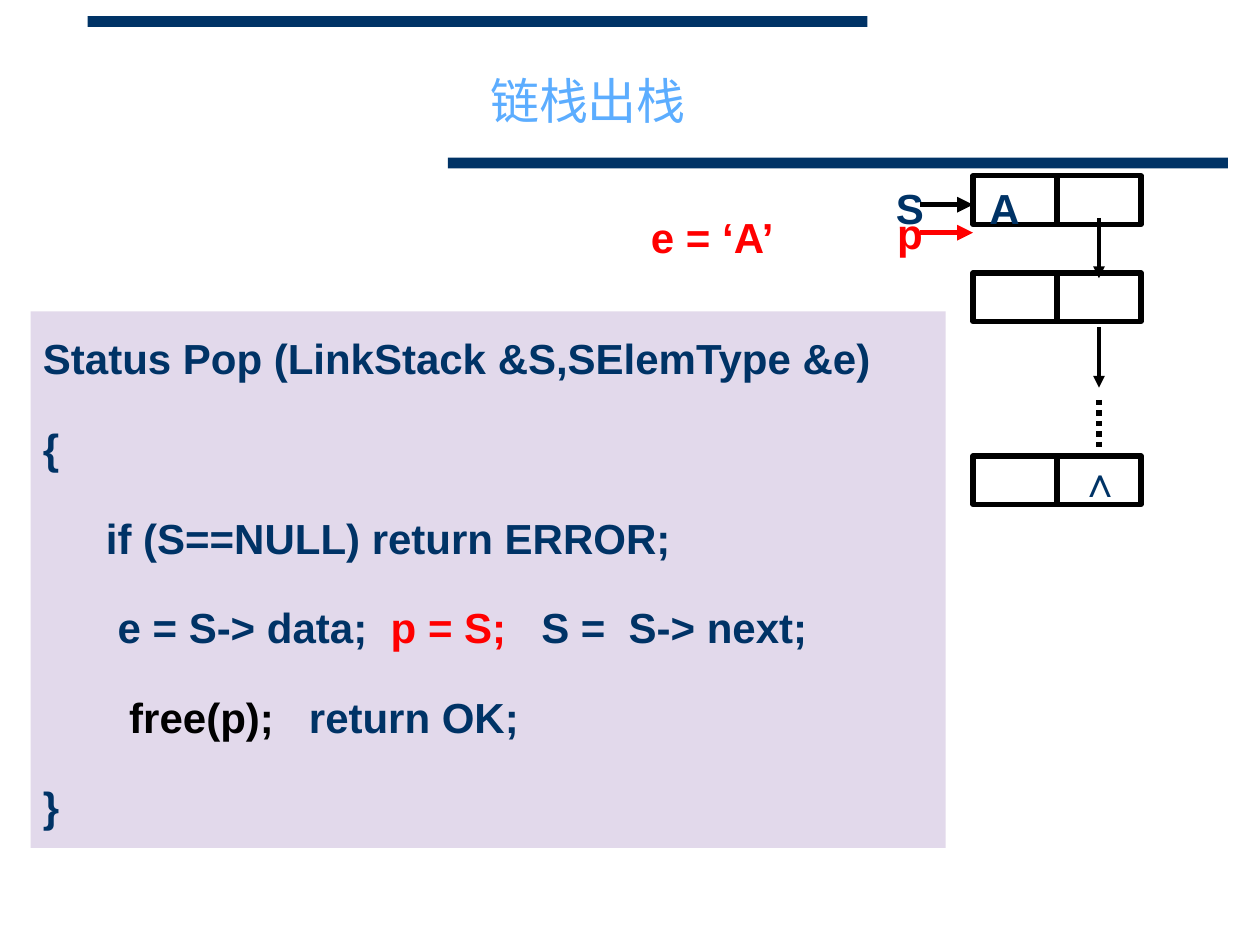
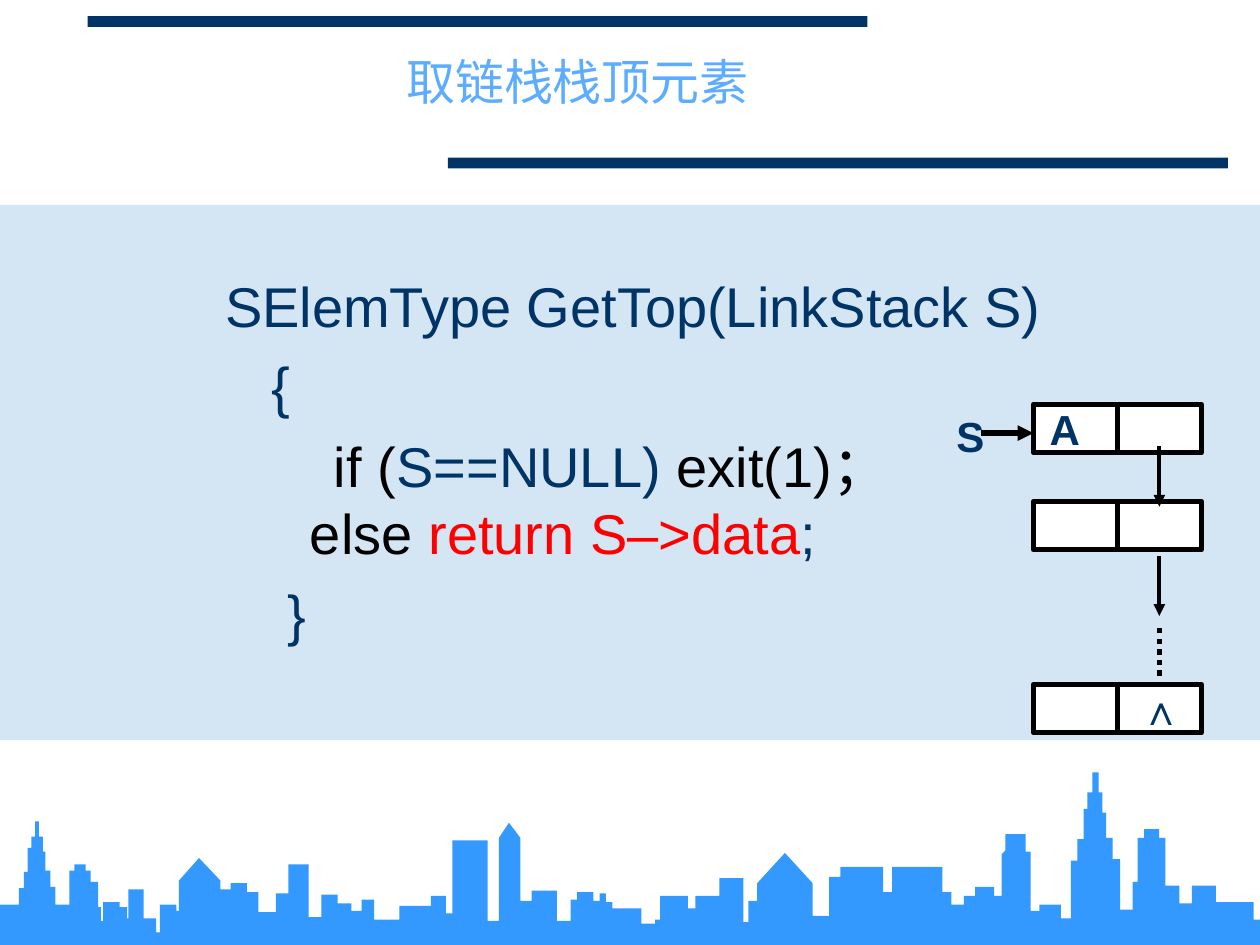
from lxml.etree import SubElement
from pptx import Presentation
from pptx.dml.color import RGBColor
from pptx.enum.dml import MSO_LINE
from pptx.enum.shapes import MSO_CONNECTOR, MSO_SHAPE
from pptx.enum.text import MSO_ANCHOR, PP_ALIGN
from pptx.oxml.ns import qn
from pptx.util import Pt

NAVY = RGBColor(0x00, 0x33, 0x66)
AZURE = RGBColor(0x5C, 0xAD, 0xFF)
BLUE = RGBColor(0x33, 0x99, 0xFF)
PALE = RGBColor(0xD4, 0xE6, 0xF4)
LILAC = RGBColor(0xE2, 0xD9, 0xEB)
RED = RGBColor(0xFF, 0x00, 0x00)
BLACK = RGBColor(0x00, 0x00, 0x00)
WHITE = RGBColor(0xFF, 0xFF, 0xFF)
FONT = "Arial"
WIDE, HIGH = 720, 540
BREAK = "\n"

POP = [
    (0, [("Status Pop (LinkStack &S,SElemType &e)", NAVY)]),
    (0, [("{", NAVY)]),
    (36, [("if (S==NULL) return ERROR;", NAVY)]),
    (36, [(" e = S-> data;  ", NAVY), ("p = S;   ", RED), ("S =  S-> next;", NAVY)]),
    (36, [("  free(p); ", BLACK), ("  return OK;", NAVY)]),
    (0, [("}", NAVY)]),
]
TOP = [
    (27, [("SElemType GetTop(LinkStack S)", NAVY)]),
    (27, [("   {", NAVY)]),
    (27, [("       if (", BLACK), ("S==NULL) ", NAVY), ("exit(1)；", BLACK),
          (BREAK, BLACK), ("   else ", BLACK), ("return S–>data", RED), (";", NAVY)]),
    (27, [("    }", NAVY)]),
]

UNIT = 0.72
CREST = 137
ROOFS = {142: (158, 69), 396: (404, 97), 601: (623, 73), 795: (798, 75)}
STEPS = [
    (0, 32), (15, 45), (19, 58), (22, 77), (25, 86), (28, 98), (31, 86), (34, 74),
    (36, 59), (40, 46), (44, 32), (55, 59), (59, 64), (68, 59), (72, 50), (78, 30),
    (80, 19), (82, 34), (95, 30), (101, 21), (102, 44), (114, 21), (124, 10), (127, 32),
    (140, 27), (142, 51), (175, 44), (183, 49), (196, 42), (205, 26), (219, 41), (229, 64),
    (245, 22), (255, 40), (268, 33), (279, 27), (287, 36), (297, 20), (317, 31), (342, 39),
    (354, 25), (359, 83), (387, 19), (396, 85), (413, 35), (422, 43), (442, 19), (453, 36),
    (458, 42), (471, 35), (476, 41), (481, 34), (486, 29), (509, 17), (520, 20), (524, 39),
    (546, 29), (552, 39), (571, 53), (590, 18), (594, 35), (601, 49), (645, 23), (658, 54),
    (667, 62), (701, 42), (708, 62), (748, 42), (755, 32), (765, 39), (774, 46), (789, 39),
    (795, 72), (798, 88), (814, 74), (818, 27), (825, 32), (842, 21), (850, 67), (855, 84),
    (860, 108), (863, 121), (867, 137), (872, 121), (875, 105), (878, 85), (883, 68), (889, 28),
    (899, 50), (903, 85), (908, 92), (920, 85), (925, 47), (936, 33), (946, 47), (965, 34),
    (995, 20),
]


def paint(shape, fill, edge=None):
    shape.shadow.inherit = False
    shape.fill.solid()
    shape.fill.fore_color.rgb = fill
    if edge is None:
        shape.line.fill.background()
    else:
        shape.line.color.rgb = edge
        shape.line.width = Pt(3)


def block(slide, x, y, w, h, fill, edge=None):
    shape = slide.shapes.add_shape(MSO_SHAPE.RECTANGLE, Pt(x), Pt(y), Pt(w), Pt(h))
    paint(shape, fill, edge)
    return shape


def rule(slide, x1, y1, x2, y2, color=BLACK, width=3, arrow=False):
    line = slide.shapes.add_connector(MSO_CONNECTOR.STRAIGHT, Pt(x1), Pt(y1), Pt(x2), Pt(y2))
    line.line.color.rgb = color
    line.line.width = Pt(width)
    if arrow:
        SubElement(line.line._get_or_add_ln(), qn("a:tailEnd"), type="triangle")
    SubElement(line._element.spPr, qn("a:effectLst"))
    return line


def write(para, text, size, color, bold=False):
    run = para.add_run()
    run.text = text
    run.font.name = FONT
    run.font.size = Pt(size)
    run.font.bold = bold
    run.font.color.rgb = color


def label(slide, x, y, w, h, text, color, size=24, bold=True, align=PP_ALIGN.CENTER):
    frame = slide.shapes.add_textbox(Pt(x), Pt(y), Pt(w), Pt(h)).text_frame
    frame.word_wrap = True
    para = frame.paragraphs[0]
    para.alignment = align
    write(para, text, size, color, bold)
    return frame


def code(frame, lines, size, gap, bold=False, lead=1.0, hang=0):
    frame.word_wrap = True
    frame.vertical_anchor = MSO_ANCHOR.TOP
    for i, (left, runs) in enumerate(lines):
        para = frame.add_paragraph() if i else frame.paragraphs[0]
        para.alignment = PP_ALIGN.LEFT
        para.line_spacing = lead
        para.space_before = Pt(gap if i else 0)
        props = para._p.get_or_add_pPr()
        props.set("marL", str(Pt(left)))
        props.set("indent", str(Pt(-hang)))
        for text, color in runs:
            if text == BREAK:
                para.add_line_break()
            else:
                write(para, text, size, color, bold)


def stack(slide, x, y, rise=0):
    mid = x + 72
    for drop in (0, 55.5, 160):
        node = block(slide, x, y + drop, 96, 27.7, WHITE, BLACK)
        split = rule(slide, x + 48, y + drop, x + 48, y + drop + 27.7)
        split.begin_connect(node, 0)
        split.end_connect(node, 2)
    for drop in (24, 86.5):
        rule(slide, mid, y + drop, mid, y + drop + 34.5, width=2.25, arrow=True)
    dots = rule(slide, mid, y + 128, mid, y + 155.5)
    dots.line.dash_style = MSO_LINE.ROUND_DOT
    label(slide, x + 54, y + 156, 36, 36, "∧", NAVY)
    rule(slide, x - 30, y + 16.5, x, y + 16.5, arrow=True)
    label(slide, x - 54, y, 36, 36.5, "S", NAVY)
    label(slide, x, y - rise, 36, 36.5, "A", NAVY)


def skyline(slide, x, y):
    points = []
    last = 0
    for left, tall in STEPS:
        points += [(left, last), (left, tall)]
        if left in ROOFS:
            points.append(ROOFS[left])
        last = tall
    points += [(1000, last), (1000, 0)]
    pen = slide.shapes.build_freeform(0, CREST, scale=Pt(UNIT))
    pen.add_line_segments([(px, CREST - py) for px, py in points], close=True)
    paint(pen.convert_to_shape(Pt(x), Pt(y)), BLUE)


def base(deck, title, x, y, w, h):
    slide = deck.slides.add_slide(deck.slide_layouts[6])
    for left, top in ((50, 9.2), (256, 90)):
        block(slide, left, top, 445.7, 6.2, NAVY)
    return slide, (title, x, y, w, h)


def head(slide, title, x, y, w, h):
    frame = label(slide, x, y, w, h, title, AZURE, 28, False, PP_ALIGN.LEFT)
    frame.vertical_anchor = MSO_ANCHOR.MIDDLE


def pop_slide(deck):
    slide, title = base(deck, "链栈出栈", 273, 39, 268, 36)
    x, y = 556, 100.5
    stack(slide, x, y)
    label(slide, 344, 117.5, 126, 36, "e = ‘A’", RED)
    rule(slide, x - 30, y + 32.5, x, y + 32.5, RED, arrow=True)
    label(slide, x - 54, y + 14.5, 36, 36, "p", RED)
    panel = block(slide, 17.5, 178, 523, 306.5, LILAC)
    code(panel.text_frame, POP, 24, 13.8, bold=True, lead=1.3)
    head(slide, *title)


def top_slide(deck):
    slide, title = base(deck, "取链栈栈顶元素", 225, 26, 312, 40)
    block(slide, 0, 117, WIDE, 306, PALE)
    head(slide, *title)
    box = slide.shapes.add_textbox(Pt(121.5), Pt(151.5), Pt(533), Pt(227))
    code(box.text_frame, TOP, 32, 7.4, hang=27)
    skyline(slide, 0, HIGH - CREST * UNIT)
    stack(slide, 590.5, 231, rise=4)


def main():
    deck = Presentation()
    deck.slide_width, deck.slide_height = Pt(WIDE), Pt(HIGH)
    pop_slide(deck)
    top_slide(deck)
    deck.save("out.pptx")


if __name__ == "__main__":
    main()
